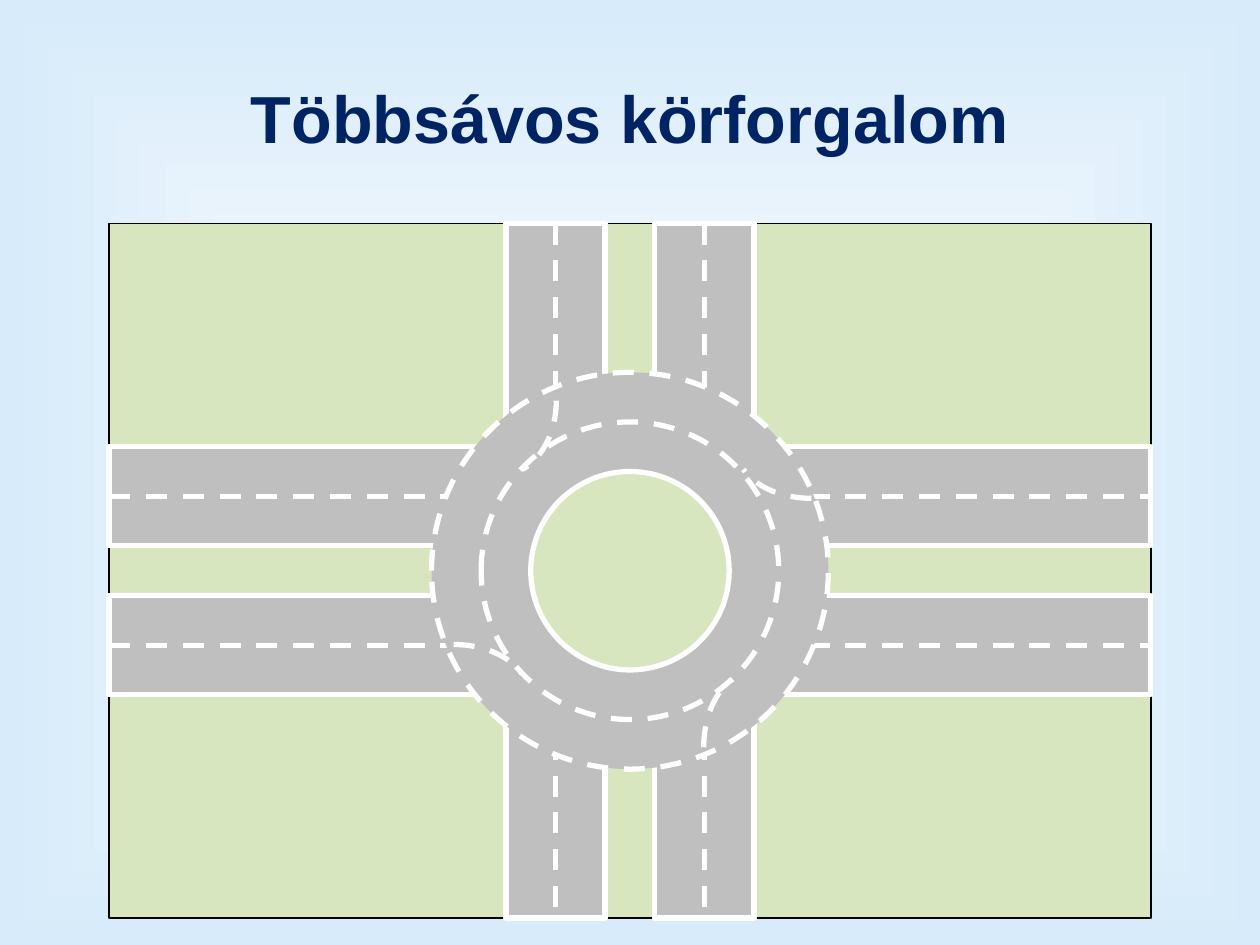
from lxml import etree
from pptx import Presentation
from pptx.dml.color import RGBColor
from pptx.enum.dml import MSO_LINE
from pptx.enum.shapes import MSO_CONNECTOR, MSO_SHAPE
from pptx.enum.text import MSO_ANCHOR, PP_ALIGN
from pptx.oxml.ns import qn
from pptx.util import Inches, Pt

RECTANGLE = MSO_SHAPE.RECTANGLE
OVAL = MSO_SHAPE.OVAL
ARC = MSO_SHAPE.ARC
STRAIGHT = MSO_CONNECTOR.STRAIGHT
DASH = MSO_LINE.DASH
MIDDLE = MSO_ANCHOR.MIDDLE
CENTER = PP_ALIGN.CENTER

GRASS = "D7E6BE"
ASPHALT = "BFBFBF"
WHITE = "FFFFFF"
BLACK = "000000"
SKY = "D7EBFA"
NAVY = "002364"

LANE = 1 / 2.54
CENTER_X, CENTER_Y = 5, 4.53
FIELD_WIDTH, FIELD_HEIGHT = 21 * LANE, 14 * LANE
ROAD_WIDTH = 2 * LANE
ROAD_OFFSET = 1.5 * LANE
ARC_START, ARC_END = 162, 205.82


def color(value):
    return RGBColor.from_string(value)


def write_text(frame, text, font="Arial", size=38, fill=NAVY, bold=True, align=CENTER):
    frame.word_wrap = True
    frame.vertical_anchor = MIDDLE
    para = frame.paragraphs[0]
    para.alignment = align
    span = para.add_run()
    span.text = text
    span.font.name = font
    span.font.size = Pt(size)
    span.font.bold = bold
    span.font.color.rgb = color(fill)


class RoadSlide:
    def __init__(self, deck):
        self.page = deck.slides.add_slide(deck.slide_layouts[5])
        self.marking = WHITE
        self.marking_width = 3

    def background(self, inner, outer):
        fill = self.page.background.fill
        fill.gradient()
        for stop, value in zip(fill.gradient_stops, (inner, outer)):
            stop.color.rgb = color(value)
        gradient = next(self.page._element.iter(qn("a:gradFill")))
        gradient.remove(gradient.find(qn("a:lin")))
        shade = etree.SubElement(gradient, qn("a:path"), path="rect")
        etree.SubElement(shade, qn("a:fillToRect"), l="50000", t="50000", r="50000", b="50000")

    def title(self, text, left, top, width, height):
        box = self.page.shapes.title
        box.left, box.top = Inches(left), Inches(top)
        box.width, box.height = Inches(width), Inches(height)
        write_text(box.text_frame, text)

    def stroke(self, line, value=None, weight=None, dashed=False):
        line.color.rgb = color(value or self.marking)
        line.width = Pt(weight or self.marking_width)
        if dashed:
            line.dash_style = DASH

    def shape(self, kind, x, y, width, height, fill=None, **stroke):
        box = self.page.shapes.add_shape(
            kind, Inches(x - width / 2), Inches(y - height / 2), Inches(width), Inches(height))
        box.shadow.inherit = False
        if fill:
            box.fill.solid()
            box.fill.fore_color.rgb = color(fill)
        else:
            box.fill.background()
        self.stroke(box.line, **stroke)
        return box

    def lane_line(self, x1, y1, x2, y2):
        line = self.page.shapes.add_connector(STRAIGHT, Inches(x1), Inches(y1), Inches(x2), Inches(y2))
        self.stroke(line.line, dashed=True)
        etree.SubElement(line._element.spPr, qn("a:effectLst"))

    def horizontal_road(self, y):
        self.shape(RECTANGLE, CENTER_X, y, FIELD_WIDTH, ROAD_WIDTH, ASPHALT)
        self.lane_line(CENTER_X - FIELD_WIDTH / 2, y, CENTER_X + FIELD_WIDTH / 2, y)

    def vertical_road(self, x):
        self.shape(RECTANGLE, x, CENTER_Y, ROAD_WIDTH, FIELD_HEIGHT, ASPHALT)
        self.lane_line(x, CENTER_Y - FIELD_HEIGHT / 2, x, CENTER_Y + FIELD_HEIGHT / 2)

    def ring(self, radius, fill, dashed=True):
        self.shape(OVAL, CENTER_X, CENTER_Y, 2 * radius, 2 * radius, fill, dashed=dashed)

    def entry_curve(self, x, y, width, height, rotation):
        curve = self.shape(ARC, x, y, width, height, dashed=True)
        curve.adjustments[0] = ARC_START
        curve.adjustments[1] = ARC_END
        curve.rotation = rotation


def main():
    deck = Presentation()
    deck.slide_width, deck.slide_height = Inches(10), Inches(7.5)
    slide = RoadSlide(deck)
    slide.background(WHITE, SKY)
    slide.title("Többsávos körforgalom", 0.5, 0.3, 9, 1.25)
    slide.shape(RECTANGLE, CENTER_X, CENTER_Y, FIELD_WIDTH, FIELD_HEIGHT, GRASS, value=BLACK, weight=1)

    for side in (-1, 1):
        slide.horizontal_road(CENTER_Y + side * ROAD_OFFSET)
    for side in (-1, 1):
        slide.vertical_road(CENTER_X + side * ROAD_OFFSET)

    slide.ring(4 * LANE, ASPHALT)
    slide.ring(3 * LANE, ASPHALT)
    slide.ring(2 * LANE, GRASS, dashed=False)

    for x, y, width, height, rotation in (
        (3.6, 5.51, 1.19, 0.79, 0),
        (5.98, 5.93, 1.19, 0.79, 270),
        (6.44, 3.56, 1.19, 0.79, 180),
        (3.98, 3.18, 1.18, 0.87, 90),
    ):
        slide.entry_curve(x, y, width, height, rotation)

    deck.save("out.pptx")


if __name__ == "__main__":
    main()
